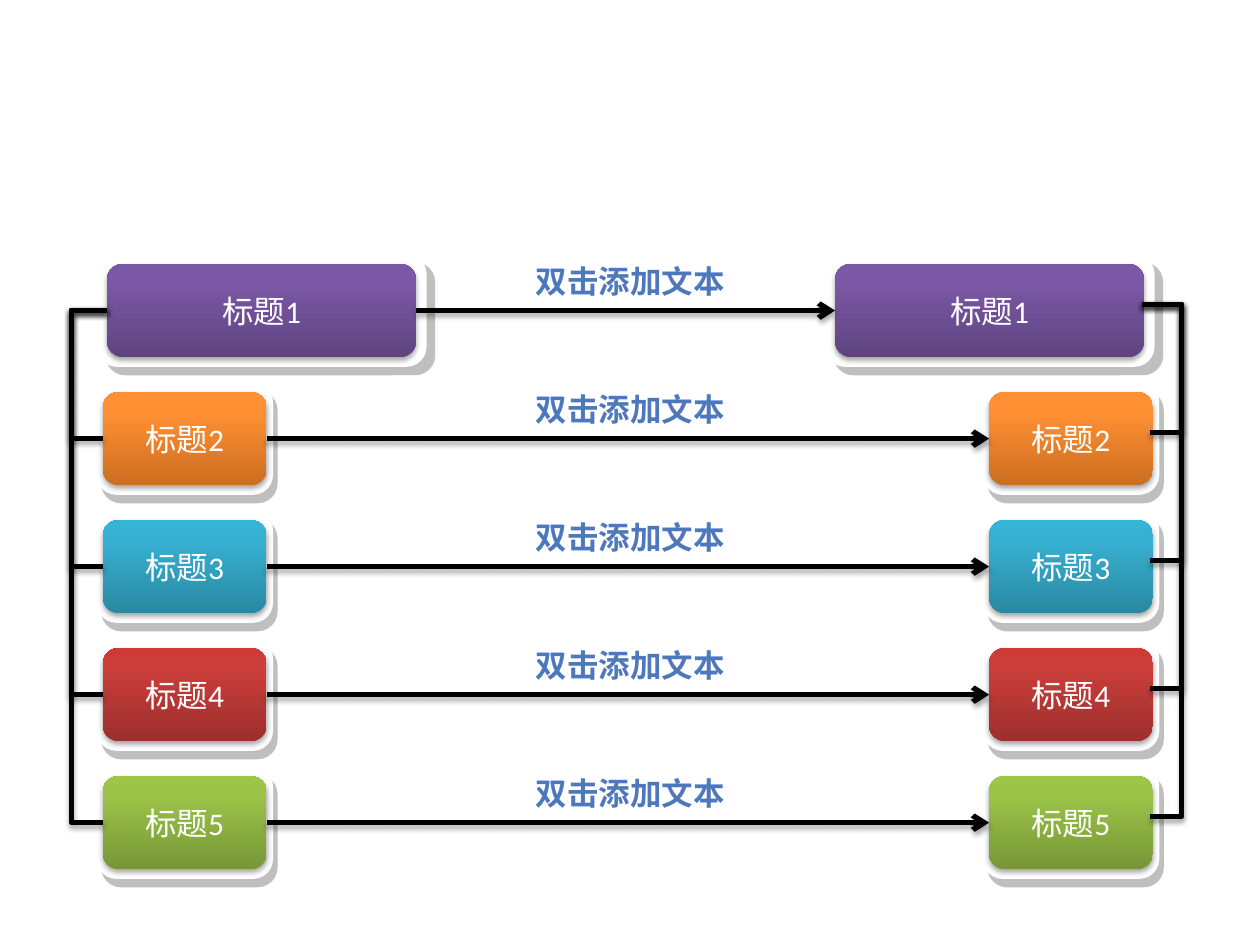
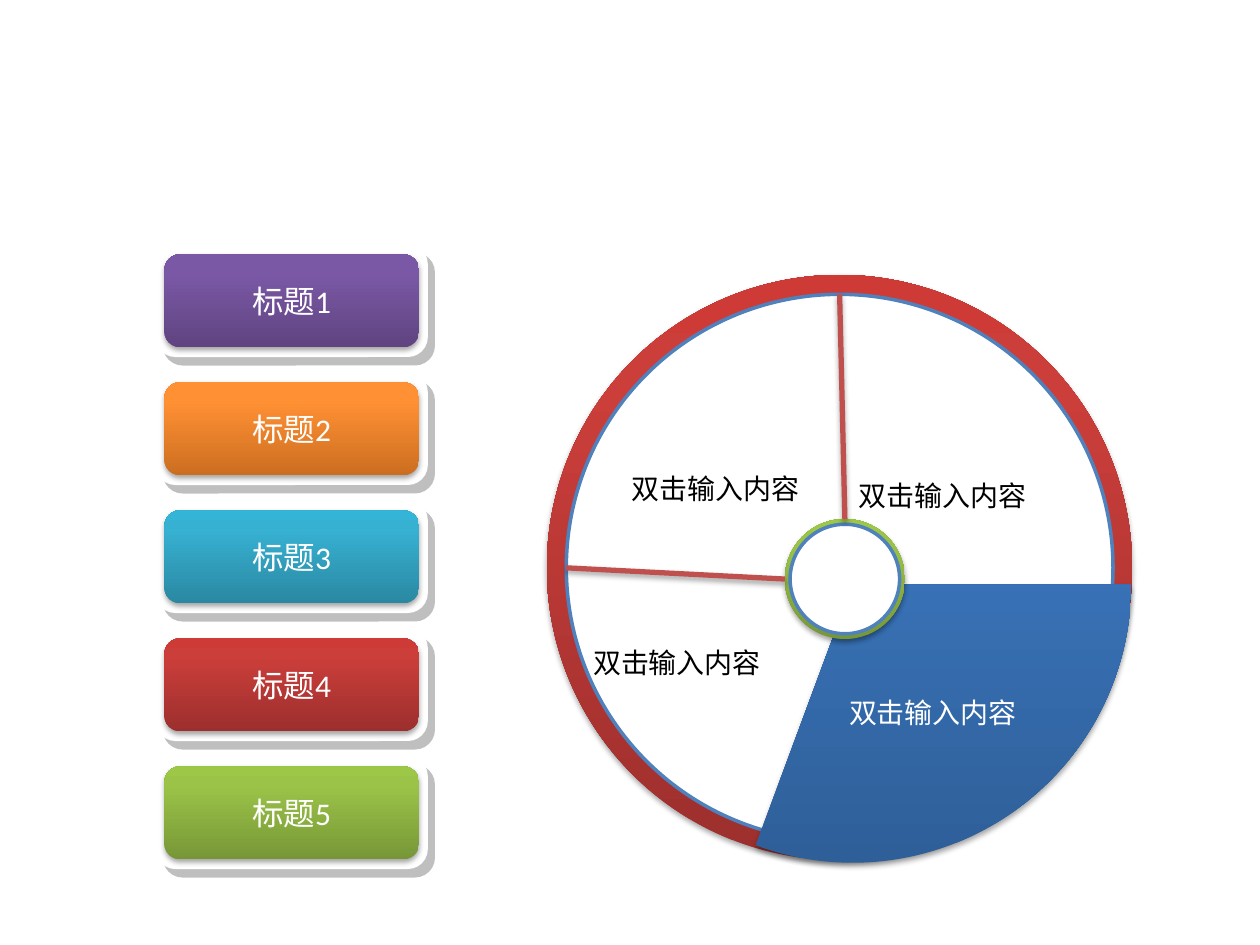
from copy import deepcopy

from lxml.etree import SubElement as Sub
from pptx import Presentation
from pptx.dml.color import RGBColor
from pptx.enum.shapes import MSO_CONNECTOR as Link, MSO_SHAPE as Form
from pptx.enum.text import MSO_ANCHOR as Anchor, PP_ALIGN as Align
from pptx.oxml.ns import qn
from pptx.util import Pt

# Gradients run from dark at the bottom to bright at the top
PURPLE = ("5F4480", "7B58A6", "7C57A8")
ORANGE = ("CC6E20", "FF9034", "FF9136")
TEAL = ("2A88A2", "37B1D2", "34B4D6")
RED = ("9C2F2D", "CB3E3A", "CE3B37")
GREEN = ("779737", "9BC348", "9DC746")
BLUE = ("2F5F99", "3D7CC7", "3A7CCB")
TONES = (PURPLE, ORANGE, TEAL, RED, GREEN)
STOPS = (0, 0.8, 1)
WHITE, BLACK, GREY = "FFFFFF", "000000", "BFBFBF"
EDGE, SPOKE, LABEL = "4F81BD", "C0504D", "4D79BC"

# Card rows, in points
PITCH, HIGH = 73.15, 53.2
PLATE, RISE = 62.6, 4.85


def tint(code):
    return RGBColor.from_string(code)


class Deck:
    font = "Calibri"

    def __init__(self):
        self.prs = Presentation()
        self.prs.slide_width, self.prs.slide_height = Pt(720), Pt(540)

    def page(self):
        self.slide = self.prs.slides.add_slide(self.prs.slide_layouts[6])

    def shade(self, item):
        """Give a shape or line the soft shadow below it."""
        props = item._element.spPr
        effects = props.find(qn("a:effectLst"))
        if effects is None:
            effects = Sub(props, qn("a:effectLst"))
        drop = Sub(effects, qn("a:outerShdw"), blurRad=str(Pt(3.1)),
                   dist=str(Pt(1.8)), dir="5400000", rotWithShape="0")
        color = Sub(drop, qn("a:srgbClr"), val=BLACK)
        Sub(color, qn("a:alpha"), val="35000")

    def shape(self, form, x, y, w, h, fill, line=None):
        """A plain shape, or a shaded one when the fill has three tones."""
        item = self.slide.shapes.add_shape(form, Pt(x), Pt(y), Pt(w), Pt(h))
        item.shadow.inherit = False
        if isinstance(fill, str):
            item.fill.solid()
            item.fill.fore_color.rgb = tint(fill)
        else:
            item.fill.gradient()
            item.fill.gradient_angle = 90
            stops = item._element.spPr.find(".//" + qn("a:gsLst"))
            stops.append(deepcopy(stops[0]))
            for stop, spot, tone in zip(item.fill.gradient_stops, STOPS, fill):
                stop.position, stop.color.rgb = spot, tint(tone)
            self.shade(item)
        if line:
            item.line.color.rgb, item.line.width = tint(line), Pt(2)
        else:
            item.line.fill.background()
        return item

    def words(self, item, text, size, color, align, bold=False):
        para = item.text_frame.paragraphs[0]
        para.alignment = align
        run = para.add_run()
        run.text = text
        run.font.name, run.font.size, run.font.bold = self.font, Pt(size), bold
        run.font.color.rgb = tint(color)

    def text(self, x, y, w, h, text, size, color,
             align=Align.LEFT, bold=False, wrap=True):
        box = self.slide.shapes.add_textbox(Pt(x), Pt(y), Pt(w), Pt(h))
        box.text_frame.word_wrap = wrap
        self.words(box, text, size, color, align, bold)

    def line(self, x1, y1, x2, y2, color=BLACK, arrow=False, bend=None):
        """A straight line, or an elbow with its trunk at x = bend."""
        kind = Link.STRAIGHT if bend is None else Link.ELBOW
        item = self.slide.shapes.add_connector(
            kind, Pt(x1), Pt(y1), Pt(x2), Pt(y2))
        item.line.color.rgb, item.line.width = tint(color), Pt(3)
        props = item._element.spPr
        if arrow:
            Sub(props.find(qn("a:ln")), qn("a:tailEnd"), type="arrow")
        if bend is not None:
            part = round((bend - x1) / (x2 - x1) * 100000)
            geom = props.find(qn("a:prstGeom"))
            guides = geom.find(qn("a:avLst"))
            if guides is None:
                guides = Sub(geom, qn("a:avLst"))
            Sub(guides, qn("a:gd"), name="adj1", fmla=f"val {part}")
        self.shade(item)

    def card(self, x, y, w, row):
        """A title card on a white plate with a grey rim."""
        wide, shift = w * 1.056, w * 0.028
        box = Form.ROUNDED_RECTANGLE
        self.shape(box, x, y, wide, PLATE, GREY, GREY)
        self.shape(box, x - shift, y - RISE, wide, PLATE, WHITE, WHITE)
        top = self.shape(box, x, y, w, HIGH, TONES[row])
        top.text_frame.vertical_anchor = Anchor.MIDDLE
        self.words(top, f"标题{row + 1}", 18, WHITE, Align.CENTER)

    def disc(self, x, y, size, fill, line=None):
        self.shape(Form.OVAL, x, y, size, size, fill, line)


def pairs(deck):
    """Two columns of cards joined by labelled arrows."""
    deck.page()
    tops = [150.9 + PITCH * row for row in range(5)]
    mids = [top + HIGH / 2 for top in tops]
    wide, slim = 176.6, 93.6
    left = [(61.2, wide)] + [(58.8, slim)] * 4
    right = [(477.2, wide)] + [(565.2, slim)] * 4
    for column in (left, right):
        for row, (x, w) in enumerate(column):
            deck.card(x, tops[row], w, row)

    # Trunks at both sides
    for mid in mids[1:]:
        deck.line(61.2, mids[0], 58.8, mid, bend=40.9)
    for mid in reversed(mids[1:]):
        deck.line(652.5, mids[0] - 3.4, 657.1, mid - 3.4, bend=675.2)

    # Arrows and their labels
    for (x, w), (end, _), mid in zip(left, right, mids):
        deck.line(x + w, mid, end, mid, arrow=True)
    for top in tops:
        deck.text(298, top - RISE, 124.4, 28.8, "双击添加文本", 18, LABEL,
                  Align.CENTER, bold=True, wrap=False)


def wheel(deck):
    """A column of cards beside a wheel with one raised slice."""
    deck.page()
    deck.disc(312.5, 157.1, 334.5, RED)
    deck.disc(323.6, 168.2, 312.4, WHITE, EDGE)
    wedge = deck.shape(Form.PIE, 328.2, 174.8, 318.2, 318.2, BLUE)
    wedge.adjustments[0], wedge.adjustments[1] = 0, 66.24
    deck.disc(448.5, 296.6, 68.6, GREEN)
    deck.disc(451.5, 299.6, 62.6, WHITE, EDGE)

    # Spokes and texts
    deck.line(448.5, 330.9, 323.6, 324.5, SPOKE)
    deck.line(482.8, 296.6, 479.8, 168.2, SPOKE)
    for x, y, color in ((478.1, 393.8, WHITE), (331.9, 365.6, BLACK),
                        (353.9, 265.9, BLACK), (483.7, 269.9, BLACK)):
        deck.text(x, y, 146.2, 26.6, "双击输入内容", 16, color)

    for row in range(5):
        deck.card(94, 145.3 + PITCH * row, 145.4, row)


def main():
    deck = Deck()
    pairs(deck)
    wheel(deck)
    deck.prs.save("out.pptx")


if __name__ == "__main__":
    main()
